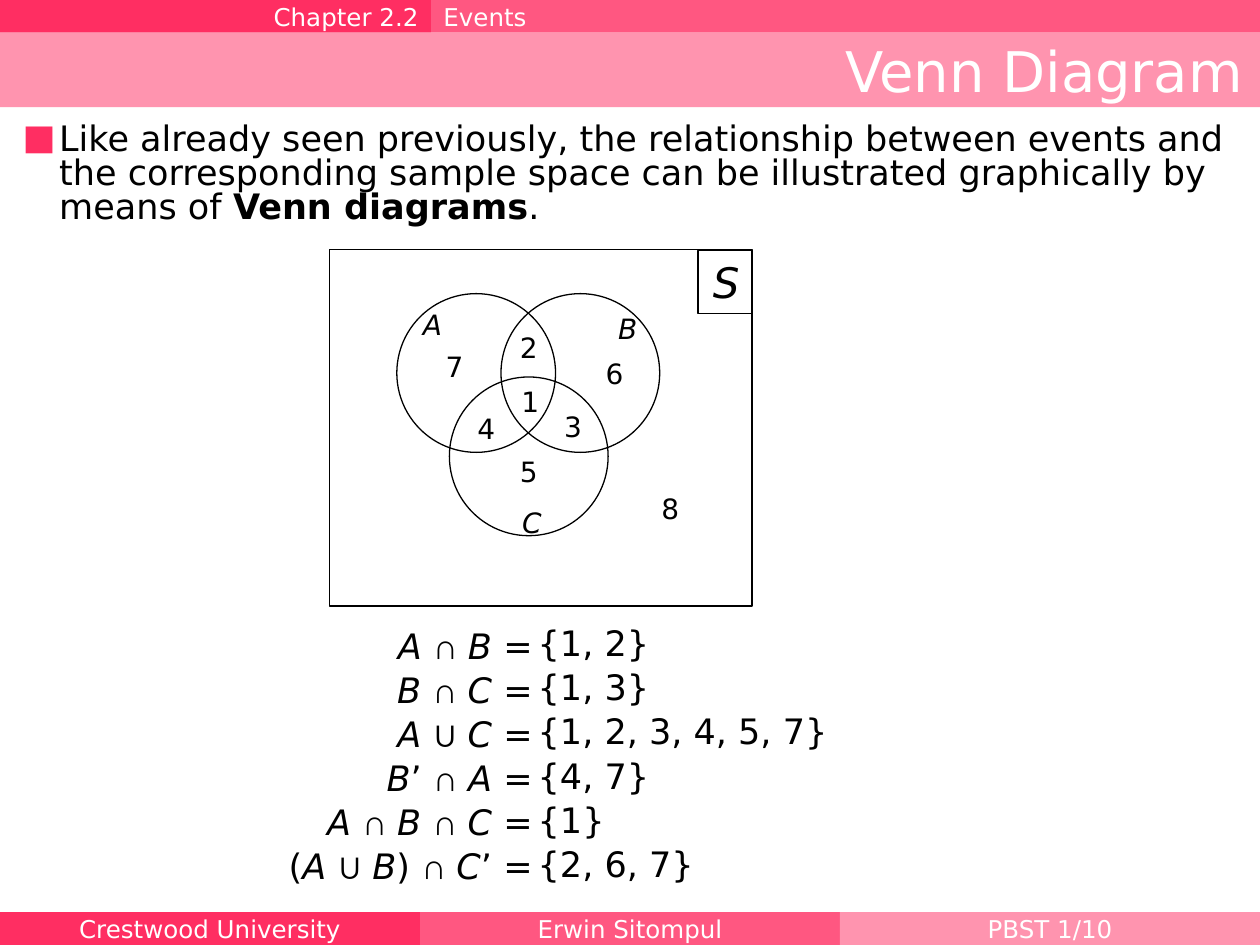
from dataclasses import dataclass

from lxml import etree
from pptx import Presentation
from pptx.dml.color import RGBColor
from pptx.enum.shapes import MSO_SHAPE
from pptx.enum.text import MSO_ANCHOR, MSO_AUTO_SIZE, PP_ALIGN
from pptx.oxml.ns import qn
from pptx.util import Cm, Pt

RECT, OVAL = MSO_SHAPE.RECTANGLE, MSO_SHAPE.OVAL
LEFT, CENTER, RIGHT = PP_ALIGN.LEFT, PP_ALIGN.CENTER, PP_ALIGN.RIGHT
TOP, MIDDLE = MSO_ANCHOR.TOP, MSO_ANCHOR.MIDDLE
NO_FIT, GROW = MSO_AUTO_SIZE.NONE, MSO_AUTO_SIZE.SHAPE_TO_FIT_TEXT


@dataclass(frozen=True)
class Theme:
    """Colours, fonts and type sizes of the slide."""
    dark: str = "FF2E62"
    mid: str = "FF5781"
    light: str = "FF94AF"
    ink: str = "000000"
    paper: str = "FFFFFF"
    font: str = "DejaVu Sans"
    symbol: str = "Arial"
    title: int = 32
    space: int = 24
    body: int = 20
    label: int = 16
    bar: int = 14


T = Theme()
WIDTH, HEIGHT, BAR = 25.4, 19.05, 0.66
DIAMETER = 3.2
CIRCLES = [(1.35, 0.89), (3.45, 0.89), (2.41, 2.57)]
LABELS = [
    ("A", 1.6, 1.04), ("B", 5.54, 1.12), ("C", 3.61, 5.03),
    ("1", 3.61, 2.59), ("2", 3.58, 1.5), ("3", 4.47, 3.1), ("4", 2.72, 3.15),
    ("5", 3.58, 4.01), ("6", 5.31, 2.03), ("7", 2.08, 1.9), ("8", 6.43, 4.75),
]
RELATIONS = [
    ("A ∩ B", "{1, 2}"),
    ("B ∩ C", "{1, 3}"),
    ("A ∪ C", "{1, 2, 3, 4, 5, 7}"),
    ("B’ ∩ A", "{4, 7}"),
    ("A ∩ B ∩ C", "{1}"),
    ("(A ∪ B) ∩ C’", "{2, 6, 7}"),
]


def cm(*values):
    """Turn numbers into centimetre lengths."""
    return [Cm(v) for v in values]


def add_run(p, text, size, color=T.ink, font=T.font, bold=False, italic=False):
    """Add one formatted run to a paragraph."""
    r = p.add_run()
    r.text = text
    r.font.name, r.font.size = font, Pt(size)
    r.font.bold, r.font.italic = bold, italic
    r.font.color.rgb = RGBColor.from_string(color)


def add_box(shapes, kind, box, fill=None, line=None):
    """Add a flat preset shape."""
    sp = shapes.add_shape(kind, *cm(*box))
    sp.shadow.inherit = False
    if fill:
        sp.fill.solid()
        sp.fill.fore_color.rgb = RGBColor.from_string(fill)
    else:
        sp.fill.background()
    if line:
        sp.line.color.rgb = RGBColor.from_string(line)
        sp.line.width = Pt(0.75)
    else:
        sp.line.fill.background()
    return sp


def set_line(sp, text, size, align, anchor, color=T.ink, italic=False, fit=NO_FIT):
    """Write one unwrapped line of text in a shape."""
    tf = sp.text_frame
    tf.word_wrap, tf.auto_size, tf.vertical_anchor = False, fit, anchor
    p = tf.paragraphs[0]
    p.alignment = align
    add_run(p, text, size, color, italic=italic)


def add_child(parent, tag, **attrs):
    """Append a drawing element with attributes."""
    return etree.SubElement(parent, qn(tag), attrs)


def set_spacing(p):
    """Tighten the lines and return the paragraph properties."""
    p.line_spacing = 0.8
    ppr = p._p.get_or_add_pPr()
    add_child(add_child(ppr, "a:spcBef"), "a:spcPct", val="30000")
    return ppr


def place(sp, box):
    """Move a placeholder to a box and bring it to the front."""
    sp.left, sp.top, sp.width, sp.height = cm(*box)
    sp.element.getparent().append(sp.element)
    tf = sp.text_frame
    tf.word_wrap, tf.auto_size = True, NO_FIT
    return tf


def add_bar(s, top, cells):
    """Draw a row of coloured cells from the left edge."""
    x = 0
    for text, width, fill, align in cells:
        sp = add_box(s.shapes, RECT, (x, top, width, BAR), fill)
        set_line(sp, text, T.bar, align, MIDDLE, T.paper)
        x += width


def add_title(s, text, box):
    """Draw the title band and its text."""
    x, y, w, h = box
    add_box(s.shapes, RECT, box, T.light)
    tf = place(s.shapes.title, (x, y + 0.13, w - 0.08, h - 0.26))
    tf.vertical_anchor = MIDDLE
    p = tf.paragraphs[0]
    p.alignment = RIGHT
    add_run(p, text, T.title, T.paper)


def add_body(s, parts, box):
    """Fill the body with one bulleted paragraph."""
    tf = place(s.placeholders[1], box)
    tf.vertical_anchor = TOP
    p = tf.paragraphs[0]
    ppr = set_spacing(p)
    ppr.set("marL", str(Cm(0.74)))
    ppr.set("indent", str(-Cm(0.74)))
    add_child(add_child(ppr, "a:buClr"), "a:srgbClr", val=T.dark)
    add_child(ppr, "a:buFont", typeface=T.font)
    add_child(ppr, "a:buChar", char="■")
    for text, bold in parts:
        add_run(p, text, T.body, bold=bold)


def add_venn(s, box):
    """Draw the sample space with three events and their elements."""
    x, y, w, h = box
    shapes = s.shapes.add_group_shape().shapes
    add_box(shapes, RECT, box, T.paper, T.ink)
    corner = add_box(shapes, RECT, (x + w - 1.09, y + 0.02, 1.09, 1.27), T.paper, T.ink)
    set_line(corner, "S", T.space, RIGHT, TOP, italic=True, fit=GROW)
    for dx, dy in CIRCLES:
        add_box(shapes, OVAL, (x + dx, y + dy, DIAMETER, DIAMETER), line=T.ink)
    for text, dx, dy in LABELS:
        width = 0.91 if text.isalpha() else 0.86
        sp = shapes.add_textbox(*cm(x + dx, y + dy, width, 0.94))
        set_line(sp, text, T.label, RIGHT, TOP, italic=text.isalpha(), fit=GROW)


def add_formula(p, text):
    """Write sets in italics and operators in the symbol font."""
    runs = []
    for c in text:
        style = "set" if c.isalpha() else "operator" if c in "∩∪" else "plain"
        if runs and (c == " " or runs[-1][0] == style):
            runs[-1][1] += c
        else:
            runs.append([style, c])
    for style, part in runs:
        operator = style == "operator"
        add_run(p, part, T.body, font=T.symbol if operator else T.font,
                bold=operator, italic=style == "set")


def add_column(s, lines, tabs, box):
    """Write a column of tabbed formulas."""
    tf = s.shapes.add_textbox(*cm(*box)).text_frame
    tf.word_wrap = True
    for i, text in enumerate(lines):
        p = tf.add_paragraph() if i else tf.paragraphs[0]
        tab_list = add_child(set_spacing(p), "a:tabLst")
        for pos, align in tabs:
            add_child(tab_list, "a:tab", pos=str(Cm(pos)), algn=align)
        add_formula(p, text)


def add_relations(s, box):
    """Set the relations and their results side by side."""
    x, y, w, h = box
    add_column(s, [f"\t{left}\t= " for left, _ in RELATIONS],
               [(9.47, "r"), (9.7, "l")], box)
    add_column(s, [f"\t{right}" for _, right in RELATIONS],
               [(0.48, "l")], (x + 9.91, y - 0.05, 7.7, h))


def main():
    """Build and save the slide."""
    prs = Presentation()
    prs.slide_width, prs.slide_height = cm(WIDTH, HEIGHT)
    s = prs.slides.add_slide(prs.slide_layouts[1])
    third = WIDTH / 3
    add_bar(s, 0, [("Chapter 2.2", 8.69, T.dark, RIGHT),
                   ("Events", WIDTH - 8.69, T.mid, LEFT)])
    add_bar(s, HEIGHT - BAR, [("Crestwood University", third, T.dark, CENTER),
                              ("Erwin Sitompul", third, T.mid, CENTER),
                              ("PBST 1/10", third, T.light, CENTER)])
    add_title(s, "Venn Diagram", (0, BAR, WIDTH, 1.5))
    add_body(s, [("Like already seen previously, the relationship between events and "
                  "the corresponding sample space can be illustrated graphically by "
                  "means of ", False), ("Venn diagrams", True), (".", False)],
             (0.2, 2.39, 25.2, 2.31))
    add_venn(s, (6.65, 5.03, 8.51, 7.19))
    add_relations(s, (0.2, 12.62, 25.2, 5.44))
    prs.save("out.pptx")


main()
